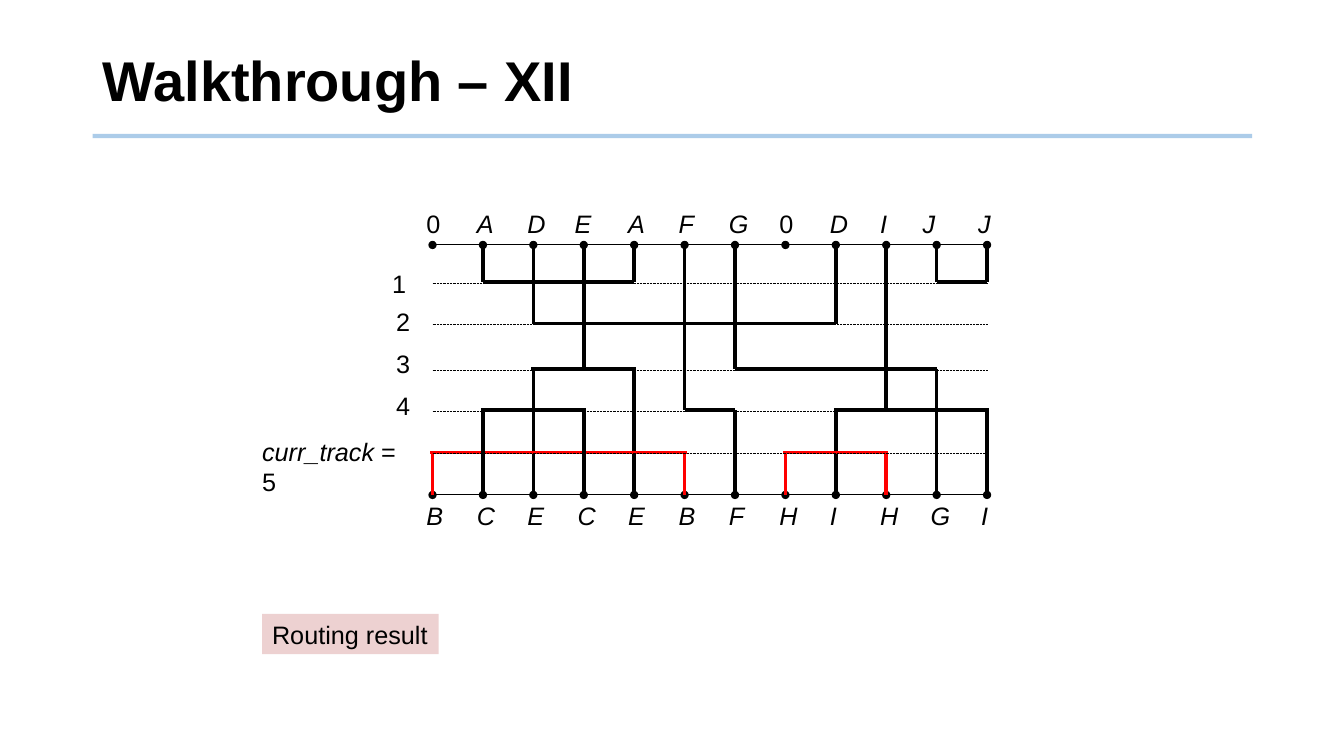
import pptx
import pptx.util
import pptx.dml.color
import pptx.enum.dml
import pptx.enum.shapes
import pptx.enum.text
import pptx.oxml.ns
import lxml.etree

Inches = pptx.util.Inches
RGBColor = pptx.dml.color.RGBColor
BLACK = RGBColor(0x00, 0x00, 0x00)
RED = RGBColor(0xFF, 0x00, 0x00)
BLUE = RGBColor(0x5B, 0x9B, 0xD5)
PINK = RGBColor(0xED, 0xD1, 0xD1)
qn = pptx.oxml.ns.qn

LEFT, PITCH = 4.29, 0.5
TOP_RAIL, BOTTOM_RAIL = 2.43, 4.91
TRACKS = {1: 2.8, 2: 3.21, 3: 3.66, 4: 4.07, 5: 4.49}
TOP_PINS = "0ADEAFG0DIJJ"
BOTTOM_PINS = "BCECEBFHIHGI"
NET_TRACKS = {"A": 1, "D": 2, "E": 3, "F": 4, "G": 3,
              "I": 4, "J": 1, "B": 5, "H": 5, "C": 4}
COLUMNS = [LEFT + PITCH * i for i in range(len(TOP_PINS))]
TOP_LABEL_SHIFTS = {3: 0.2, 10: 0.25, 11: 0.2}

presentation = pptx.Presentation()
presentation.slide_width = Inches(13.33)
presentation.slide_height = Inches(7.5)
slide = presentation.slides.add_slide(presentation.slide_layouts[6])


def write(frame, text, size=18, bold=False, italic=False, inset=0.11,
          wrap=True, anchor=pptx.enum.text.MSO_ANCHOR.TOP):
    frame.word_wrap = wrap
    frame.vertical_anchor = anchor
    frame.margin_left = frame.margin_right = Inches(inset)
    frame.margin_top = frame.margin_bottom = Inches(0.05)
    frame.paragraphs[0].alignment = pptx.enum.text.PP_ALIGN.LEFT
    run = frame.paragraphs[0].add_run()
    run.text = text
    run.font.name = "Arial"
    run.font.size = pptx.util.Pt(size)
    run.font.bold = bold
    run.font.italic = italic
    run.font.color.rgb = BLACK


def draw_line(x1, y1, x2, y2, color=BLACK, width=2.5, ends=()):
    line = slide.shapes.add_connector(
        pptx.enum.shapes.MSO_CONNECTOR.STRAIGHT,
        Inches(x1), Inches(y1), Inches(x2), Inches(y2))
    line.line.color.rgb = color
    line.line.width = pptx.util.Pt(width)
    for end in ends:
        lxml.etree.SubElement(line.line._get_or_add_ln(), qn(end), type="oval")
    lxml.etree.SubElement(line._element.spPr, qn("a:effectLst"))
    return line


title_rule = draw_line(0.92, 1.35, 12.42, 1.35, BLUE, 3)
rule_color = title_rule._element.spPr.find(".//" + qn("a:srgbClr"))
lxml.etree.SubElement(rule_color, qn("a:alpha"), val="50000")

title = slide.shapes.add_textbox(
    Inches(0.92), Inches(0.28), Inches(11.5), Inches(1.1))
write(title.text_frame, "Walkthrough – XII", size=40, bold=True, inset=0.1,
      anchor=pptx.enum.text.MSO_ANCHOR.MIDDLE)
title.text_frame.paragraphs[0].line_spacing = 0.9

for rail in (TOP_RAIL, BOTTOM_RAIL):
    for i, x in enumerate(COLUMNS[:-1]):
        ends = ("a:headEnd", "a:tailEnd") if i == 0 else ("a:tailEnd",)
        draw_line(x, rail, x + PITCH, rail, width=0.75, ends=ends)

for net, track in NET_TRACKS.items():
    track_y = TRACKS[track]
    color = RED if track == 5 else BLACK
    top_xs = [x for x, pin in zip(COLUMNS, TOP_PINS) if pin == net]
    bottom_xs = [x for x, pin in zip(COLUMNS, BOTTOM_PINS) if pin == net]
    for x in top_xs:
        draw_line(x, 2.41, x, track_y, color)
    for x in bottom_xs:
        draw_line(x, track_y, x, BOTTOM_RAIL, color)
    overhang = 0.02 if len(bottom_xs) == 2 else 0
    draw_line(min(top_xs + bottom_xs) - overhang, track_y,
              max(top_xs + bottom_xs) + overhang, track_y, color)

for track_y in TRACKS.values():
    guide = draw_line(COLUMNS[0], track_y + 0.01, COLUMNS[-1], track_y + 0.01,
                      width=0.5)
    guide.line.dash_style = pptx.enum.dml.MSO_LINE.ROUND_DOT

for pins, label_y, shifts in ((TOP_PINS, 2.02, TOP_LABEL_SHIFTS),
                              (BOTTOM_PINS, BOTTOM_RAIL, {})):
    for i, (x, pin) in enumerate(zip(COLUMNS, pins)):
        pin_label = slide.shapes.add_textbox(
            Inches(x - shifts.get(i, 0.17)), Inches(label_y),
            Inches(0.42), Inches(0.41))
        write(pin_label.text_frame, pin, italic=pin != "0")

for number, x, y in (("1", 3.78, 2.61), ("2", 3.82, 2.99),
                     ("3", 3.82, 3.41), ("4", 3.82, 3.82)):
    track_label = slide.shapes.add_textbox(
        Inches(x), Inches(y), Inches(0.35), Inches(0.41))
    write(track_label.text_frame, number, wrap=False)

current_track = slide.shapes.add_textbox(
    Inches(2.49), Inches(4.28), Inches(1.75), Inches(0.41))
write(current_track.text_frame, "curr_track", italic=True, wrap=False)
write(current_track.text_frame, " = 5", wrap=False)

routing_result = slide.shapes.add_shape(
    pptx.enum.shapes.MSO_SHAPE.RECTANGLE,
    Inches(2.6), Inches(6.09), Inches(1.75), Inches(0.4))
routing_result.shadow.inherit = False
routing_result.fill.solid()
routing_result.fill.fore_color.rgb = PINK
routing_result.line.fill.background()
write(routing_result.text_frame, "Routing result", inset=0.1, wrap=False)

presentation.save("out.pptx")
